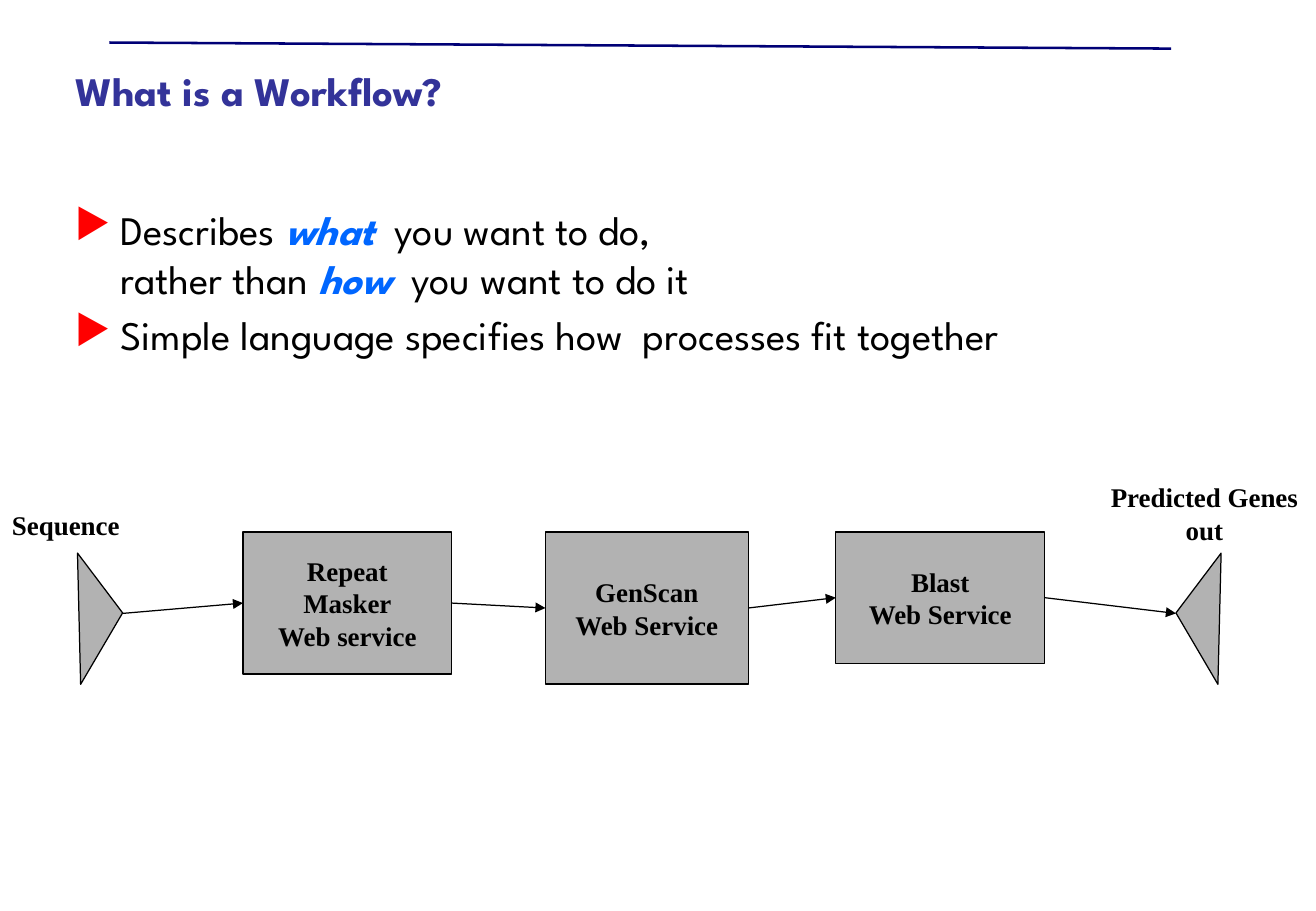
from dataclasses import dataclass

from lxml.etree import SubElement
from pptx import Presentation
from pptx.dml.color import RGBColor
from pptx.enum.shapes import MSO_CONNECTOR, MSO_SHAPE
from pptx.enum.text import MSO_ANCHOR, MSO_AUTO_SIZE, PP_ALIGN
from pptx.oxml.ns import qn
from pptx.util import Pt

TITLE = "What is a Workflow?"
BULLETS = [
    [("Describes ", False), ("what", True), ("  you want to do,\nrather than ", False),
     ("how", True), ("  you want to do it", False)],
    [("Simple language specifies how  processes fit together", False)],
]
SERVICES = [
    {"lines": ["Repeat\nMasker", "Web service"], "left": 144, "width": 123.8, "height": 84.2},
    {"lines": ["GenScan", "Web Service"], "left": 323.3, "width": 120.2, "height": 90},
    {"lines": ["Blast\nWeb Service"], "left": 495.4, "width": 123.8, "height": 77.8},
]
PORTS = [
    {"left": 20.9, "rotation": 88.6, "apex": 0.464},
    {"left": 671, "rotation": 271.4, "apex": 0.536},
]
LABELS = [
    {"text": "Sequence", "frame": (0, 298.1, 133.9, 26.6), "align": PP_ALIGN.LEFT},
    {"text": "Predicted Genes out", "frame": (648, 281.5, 131.8, 46.1), "align": PP_ALIGN.CENTER},
]
SERVICE_TOP = 315.4
PORT_TOP, PORT_WIDTH, PORT_HEIGHT = 353.5, 77.8, 25.9
SEQUENCE_TIP, GENES_TIP = (72.7, 363.6), (697, 363.6)


@dataclass(frozen=True)
class Theme:
    title: str = "333399"
    rule: str = "000076"
    ink: str = "000000"
    emphasis: str = "0066FF"
    bullet: str = "FF0000"
    fill: str = "B2B2B2"
    heading_font: str = "League Spartan"
    diagram_font: str = "Times New Roman"
    heading_size: float = 24
    diagram_size: float = 16
    rule_width: float = 1.5
    line_width: float = 0.75


THEME = Theme()


def color(value):
    return RGBColor.from_string(value)


def points(*values):
    return [Pt(value) for value in values]


def add_bullet(paragraph):
    properties = paragraph._p.get_or_add_pPr()
    properties.set("marL", str(Pt(27)))
    properties.set("indent", str(Pt(-27)))
    SubElement(SubElement(properties, qn("a:buClr")), qn("a:srgbClr"), val=THEME.bullet)
    SubElement(properties, qn("a:buChar"), char="▶")


def write(frame, paragraphs, *, font=THEME.diagram_font, size=THEME.diagram_size,
          ink=THEME.ink, bold=True, align=PP_ALIGN.LEFT, anchor=MSO_ANCHOR.TOP,
          wrap=True, bullets=False, gap=0):
    frame.word_wrap = wrap
    frame.auto_size = MSO_AUTO_SIZE.NONE
    frame.vertical_anchor = anchor
    for index, content in enumerate(paragraphs):
        paragraph = frame.paragraphs[0] if index == 0 else frame.add_paragraph()
        if bullets:
            add_bullet(paragraph)
        paragraph.alignment = align
        paragraph.space_before = Pt(gap if index else 0)
        runs = [(content, False)] if isinstance(content, str) else content
        for text, emphasized in runs:
            for line_index, line in enumerate(text.split("\n")):
                if line_index:
                    paragraph.add_line_break()
                run = paragraph.add_run()
                run.text = line
                run.font.name = font
                run.font.size = Pt(size)
                run.font.bold = bold or emphasized
                run.font.italic = emphasized
                run.font.color.rgb = color(THEME.emphasis if emphasized else ink)


def add_node(slide, kind, *frame):
    shape = slide.shapes.add_shape(kind, *points(*frame))
    shape.shadow.inherit = False
    shape.fill.solid()
    shape.fill.fore_color.rgb = color(THEME.fill)
    shape.line.color.rgb = color(THEME.ink)
    shape.line.width = Pt(THEME.line_width)
    return shape


def add_line(slide, start, end, *, ink=THEME.ink, width=THEME.line_width, arrow=False):
    connector = slide.shapes.add_connector(MSO_CONNECTOR.STRAIGHT, *points(*start, *end))
    connector.line.color.rgb = color(ink)
    connector.line.width = Pt(width)
    if arrow:
        SubElement(connector.line._get_or_add_ln(), qn("a:tailEnd"), type="triangle")
    SubElement(connector._element.spPr, qn("a:effectLst"))
    return connector


def add_heading(slide):
    add_line(slide, (64.8, 25.2), (694.1, 28.8), ink=THEME.rule, width=THEME.rule_width)
    title = slide.shapes.title
    title.left, title.top, title.width, title.height = points(38.2, 30.2, 649.4, 46.1)
    frame = title.text_frame
    frame.margin_left, frame.margin_right = points(6.5, 0)
    frame.margin_top, frame.margin_bottom = points(2.9, 2.9)
    write(frame, [TITLE], font=THEME.heading_font, size=THEME.heading_size,
          ink=THEME.title, anchor=MSO_ANCHOR.MIDDLE)


def add_workflow(slide):
    for port in PORTS:
        triangle = add_node(slide, MSO_SHAPE.ISOSCELES_TRIANGLE,
                            port["left"], PORT_TOP, PORT_WIDTH, PORT_HEIGHT)
        triangle.adjustments[0] = port["apex"]
        triangle.rotation = port["rotation"]

    boxes = []
    for service in SERVICES:
        box = add_node(slide, MSO_SHAPE.RECTANGLE, service["left"], SERVICE_TOP,
                       service["width"], service["height"])
        write(box.text_frame, service["lines"], align=PP_ALIGN.CENTER,
              anchor=MSO_ANCHOR.MIDDLE, wrap=False)
        boxes.append(box)

    for source, target in zip([None, *boxes], [*boxes, None]):
        connector = add_line(slide, SEQUENCE_TIP, GENES_TIP, arrow=True)
        if source is not None:
            connector.begin_connect(source, 3)
        if target is not None:
            connector.end_connect(target, 1)

    for label in LABELS:
        box = slide.shapes.add_textbox(*points(*label["frame"]))
        write(box.text_frame, [label["text"]], align=label["align"])


def main():
    presentation = Presentation()
    presentation.slide_width, presentation.slide_height = points(780, 540)
    slide = presentation.slides.add_slide(presentation.slide_layouts[5])
    add_heading(slide)
    body = slide.shapes.add_textbox(*points(37.4, 118, 676.8, 382))
    write(body.text_frame, BULLETS, font=THEME.heading_font, size=THEME.heading_size,
          bold=False, bullets=True, gap=4.8)
    add_workflow(slide)
    presentation.save("out.pptx")


if __name__ == "__main__":
    main()
